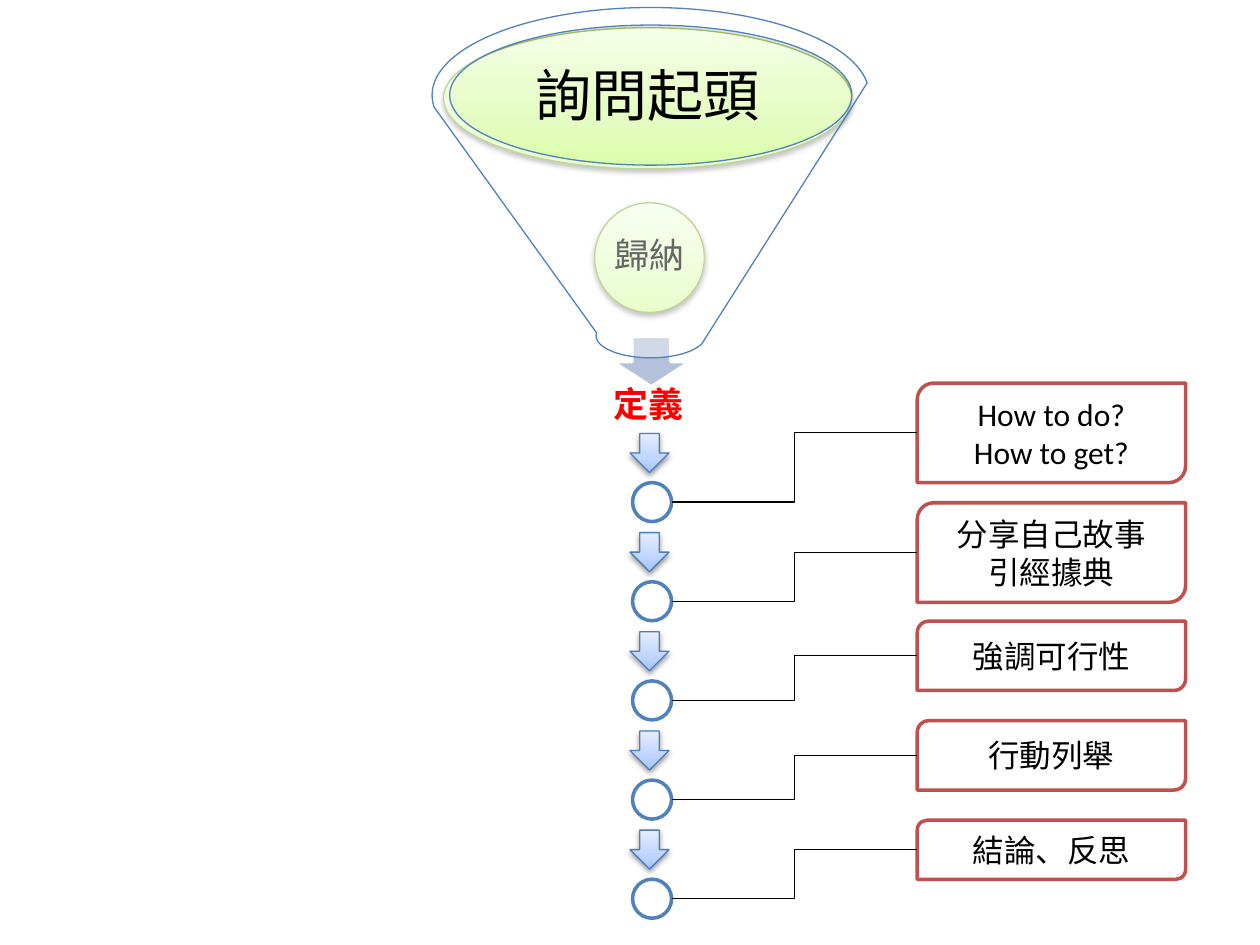
from dataclasses import dataclass

import lxml.etree
import pptx
import pptx.dml.color
import pptx.enum.shapes
import pptx.enum.text
import pptx.oxml
import pptx.oxml.ns
import pptx.shapes.autoshape
import pptx.slide
import pptx.util

Shape = pptx.shapes.autoshape.Shape
Preset = pptx.enum.shapes.MSO_SHAPE
qn = pptx.oxml.ns.qn

SLIDE_WIDTH, SLIDE_HEIGHT = pptx.util.Inches(10), pptx.util.Inches(7.5)
COLUMNS, ROWS = 100, 75


@dataclass(frozen=True)
class Theme:
    white: str = "FFFFFF"
    black: str = "000000"
    red: str = "FF0000"
    blue: str = "4F81BD"
    arrow_edge: str = "4B7EBC"
    green_edge: str = "98B955"
    box_edge: str = "C0504D"
    halo: str = "C2CDE1"
    spout: str = "B3C1DB"
    green_shades: tuple[str, str, str] = ("DAFDA7", "E4FCC2", "F5FFE7")
    blue_shades: tuple[str, str, str] = ("A4C4FF", "BFD4FF", "E6EEFF")
    latin_font: str = "Calibri"
    asian_font: str = "Noto Sans CJK SC"
    title_size: int = 32
    stage_size: int = 20
    box_size: int = 18
    thin: float = 0.75
    thick: float = 2


@dataclass(frozen=True)
class Area:
    column: float
    row: float
    columns: float
    rows: float

    @property
    def right(self) -> float:
        return self.column + self.columns

    @property
    def middle(self) -> float:
        return self.row + self.rows / 2


@dataclass(frozen=True)
class Step:
    row: float
    rows: float
    lines: tuple[str, ...]


THEME = Theme()
STEP_PITCH = 7.87
STEPS = (
    Step(30.4, 7.9, ("How to do?", "How to get?")),
    Step(39.9, 7.9, ("分享自己故事", "引經據典")),
    Step(49.3, 5.5, ("強調可行性",)),
    Step(57.2, 5.5, ("行動列舉",)),
    Step(65.1, 4.7, ("結論、反思",)),
)


def across(columns: float) -> int:
    return round(SLIDE_WIDTH * columns / COLUMNS)


def down(rows: float) -> int:
    return round(SLIDE_HEIGHT * rows / ROWS)


def color(value: str) -> pptx.dml.color.RGBColor:
    return pptx.dml.color.RGBColor.from_string(value)


def add_child(parent: lxml.etree._Element, tag: str, **attributes: object) -> lxml.etree._Element:
    child = lxml.etree.SubElement(parent, qn(tag))
    for name, value in attributes.items():
        child.set(name, str(value))
    return child


def add_figure(slide: pptx.slide.Slide, preset: Preset, area: Area, fill: str,
               line: str | None = None, width: float = THEME.thin,
               opacity: int = 100) -> Shape:
    shape = slide.shapes.add_shape(preset, across(area.column), down(area.row),
                                   across(area.columns), down(area.rows))
    shape.shadow.inherit = False
    shape.fill.solid()
    shape.fill.fore_color.rgb = color(fill)
    if opacity < 100:
        solid = shape._element.spPr.find(qn("a:solidFill"))
        add_child(solid[0], "a:alpha", val=opacity * 1000)
    if line:
        shape.line.color.rgb = color(line)
        shape.line.width = pptx.util.Pt(width)
    else:
        shape.line.fill.background()
    return shape


def add_shaded_figure(slide: pptx.slide.Slide, preset: Preset, area: Area,
                      shades: tuple[str, str, str], line: str) -> Shape:
    shape = add_figure(slide, preset, area, shades[0], line)
    properties = shape._element.spPr
    gradient = pptx.oxml.parse_xml(
        f'<a:gradFill {pptx.oxml.ns.nsdecls("a")} rotWithShape="1"/>')
    stops = add_child(gradient, "a:gsLst")
    for position, shade in zip((0, 35, 100), shades):
        stop = add_child(stops, "a:gs", pos=position * 1000)
        add_child(stop, "a:srgbClr", val=shade)
    add_child(gradient, "a:lin", ang=270 * 60000, scaled=0)
    properties.replace(properties.find(qn("a:solidFill")), gradient)
    shadow = add_child(properties.find(qn("a:effectLst")), "a:outerShdw",
                       blurRad=pptx.util.Pt(3.1), dist=pptx.util.Pt(1.6),
                       dir=90 * 60000, rotWithShape=0)
    shadow_color = add_child(shadow, "a:srgbClr", val=THEME.black)
    add_child(shadow_color, "a:alpha", val=38000)
    return shape


def write_lines(shape: Shape, lines: tuple[str, ...], size: int, text_color: str = THEME.black,
                bold: bool = False, wrap: bool = False, spacing: float = 0.9) -> None:
    frame = shape.text_frame
    frame.word_wrap = wrap
    frame.vertical_anchor = pptx.enum.text.MSO_ANCHOR.MIDDLE
    for index, text in enumerate(lines):
        paragraph = frame.add_paragraph() if index else frame.paragraphs[0]
        paragraph.alignment = pptx.enum.text.PP_ALIGN.CENTER
        paragraph.line_spacing = spacing
        run = paragraph.add_run()
        run.text = text
        run.font.size = pptx.util.Pt(size)
        run.font.bold = bold
        run.font.color.rgb = color(text_color)
        run.font.name = THEME.latin_font if text.isascii() else THEME.asian_font
        add_child(run._r.get_or_add_rPr(), "a:ea", typeface=THEME.asian_font)


def add_funnel(slide: pptx.slide.Slide) -> None:
    add_figure(slide, Preset.OVAL, Area(35.6, 2, 32, 11.1), THEME.halo, opacity=40)
    add_figure(slide, Preset.DOWN_ARROW, Area(48.6, 26.7, 6.2, 4), THEME.spout,
               THEME.white, THEME.thick)
    result = slide.shapes.add_textbox(across(44.4), down(29.3), across(14.2), down(5.8))
    write_lines(result, ("定義",), THEME.stage_size, THEME.red, bold=True, wrap=True)
    summary = add_shaded_figure(slide, Preset.OVAL, Area(47.2, 16.1, 8.7, 8.7),
                                THEME.green_shades, THEME.green_edge)
    write_lines(summary, ("歸納",), THEME.stage_size)
    opening = add_shaded_figure(slide, Preset.OVAL, Area(35.2, 2.2, 32.4, 11.2),
                                THEME.green_shades, THEME.green_edge)
    write_lines(opening, ("詢問起頭",), THEME.title_size)
    add_figure(slide, Preset.FUNNEL, Area(34.3, 0.6, 34.7, 27.8), THEME.white,
               THEME.blue, opacity=40)


def add_elbow(slide: pptx.slide.Slide, start: Area, end: Area) -> None:
    connector = slide.shapes.add_connector(
        pptx.enum.shapes.MSO_CONNECTOR.ELBOW, across(start.right), down(start.middle),
        across(end.column), down(end.middle))
    connector.line.color.rgb = color(THEME.black)
    connector.line.width = pptx.util.Pt(THEME.thin)
    add_child(connector._element.spPr, "a:effectLst")


def add_step(slide: pptx.slide.Slide, index: int, step: Step) -> None:
    offset = index * STEP_PITCH
    circle = Area(50.2, 38.3 + offset, 3.1, 3.1)
    box = Area(72.8, step.row, 21.3, step.rows)
    add_shaded_figure(slide, Preset.DOWN_ARROW, Area(50, 34.4 + offset, 3.1, 3.1),
                      THEME.blue_shades, THEME.arrow_edge)
    add_figure(slide, Preset.OVAL, circle, THEME.white, THEME.blue, THEME.thick)
    label = add_figure(slide, Preset.ROUND_2_DIAG_RECTANGLE, box, THEME.white,
                       THEME.box_edge, THEME.thick)
    write_lines(label, step.lines, THEME.box_size, wrap=True, spacing=1.0)
    add_elbow(slide, circle, box)


def main() -> None:
    presentation = pptx.Presentation()
    presentation.slide_width, presentation.slide_height = SLIDE_WIDTH, SLIDE_HEIGHT
    slide = presentation.slides.add_slide(presentation.slide_layouts[6])
    add_funnel(slide)
    for index, step in enumerate(STEPS):
        add_step(slide, index, step)
    presentation.save("out.pptx")


if __name__ == "__main__":
    main()
